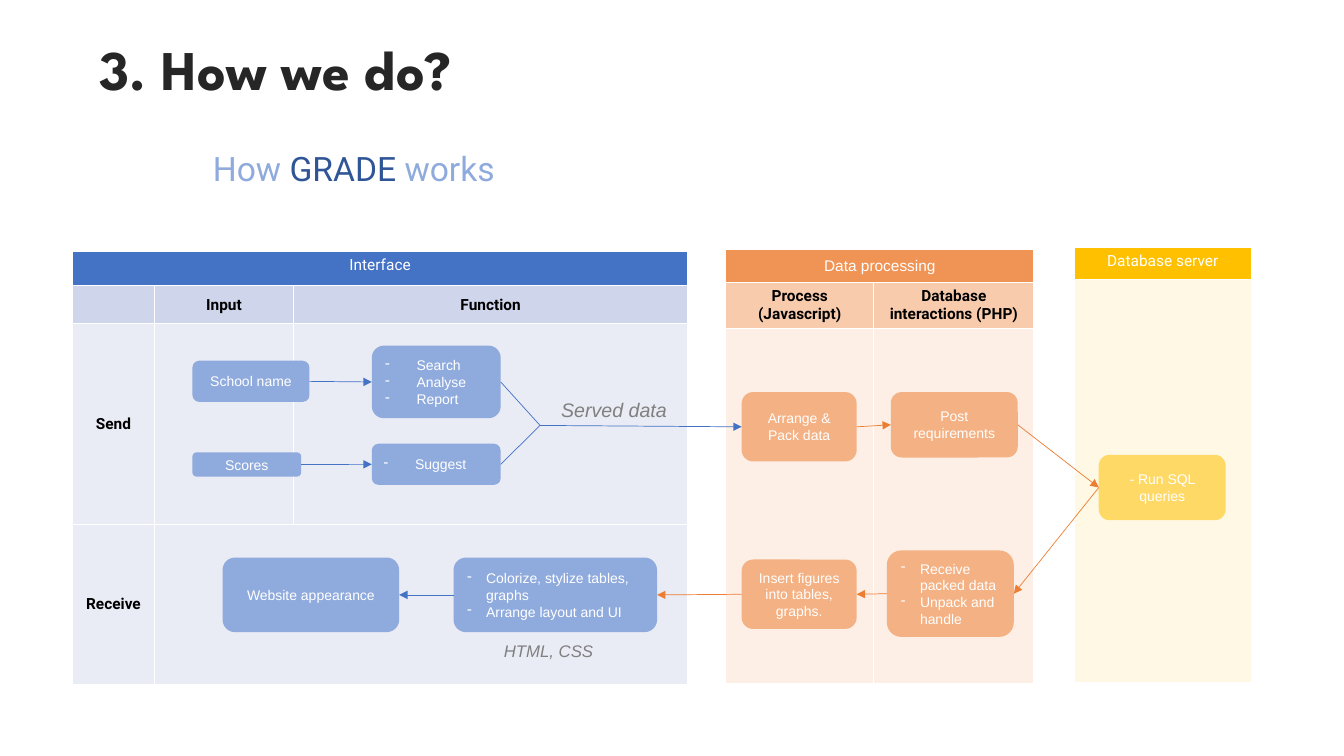
import lxml.etree
import pptx
import pptx.dml.color
import pptx.enum.shapes
import pptx.enum.text
import pptx.oxml.ns
import pptx.util

Cm = pptx.util.Cm
Pt = pptx.util.Pt
ALIGN = pptx.enum.text.PP_ALIGN
ANCHOR = pptx.enum.text.MSO_ANCHOR

COLORS = {
    "white": "FFFFFF", "black": "000000", "ink": "262626", "grey": "808080",
    "blue": "4472C4", "blue_box": "8FAADC", "blue_dark": "2F5597",
    "blue_band": "CFD5EA", "blue_pale": "E9EBF5",
    "orange": "ED7D31", "orange_head": "F09456", "orange_box": "F4B183",
    "orange_band": "F8CBAD", "orange_pale": "FDEFE6",
    "gold": "FFC000", "gold_box": "FFD966", "gold_pale": "FFF8E5",
}
FORMATS = {
    "title": {"name": "League Spartan", "size": Pt(40), "bold": True},
    "subtitle": {"name": "Roboto", "size": Pt(24), "bold": False},
    "header": {"name": "Roboto", "size": Pt(11), "bold": False},
    "header_plain": {"name": "Arial", "size": Pt(11), "bold": False},
    "label": {"name": "Roboto", "size": Pt(11), "bold": True},
    "box": {"name": "Arial", "size": Pt(10), "bold": False},
    "note": {"name": "Arial", "size": Pt(12), "italic": True},
    "large_note": {"name": "Arial", "size": Pt(14), "italic": True},
}
LEFT_SIDE, RIGHT_SIDE = 1, 3


def add_xml(parent, tag, **attributes):
    return lxml.etree.SubElement(parent, pptx.oxml.ns.qn(tag), **attributes)


def rgb(color):
    return pptx.dml.color.RGBColor.from_string(COLORS[color])


class SlideBuilder:
    def __init__(self, presentation):
        self.slide = presentation.slides.add_slide(presentation.slide_layouts[1])
        self.shapes = self.slide.shapes

    def add_text(self, paragraph, runs, style, align=ALIGN.CENTER):
        paragraph.alignment = align
        paragraph.space_before = Pt(0)
        for text, color in runs:
            run = paragraph.add_run()
            run.text = text
            for attribute, value in FORMATS[style].items():
                setattr(run.font, attribute, value)
            run.font.color.rgb = rgb(color)

    def placeholder(self, index, area, runs, style, wrap):
        shape = self.slide.placeholders[index]
        shape.left, shape.top, shape.width, shape.height = map(Cm, area)
        frame = shape.text_frame
        frame.auto_size = pptx.enum.text.MSO_AUTO_SIZE.NONE
        frame.vertical_anchor = ANCHOR.TOP
        frame.word_wrap = wrap
        paragraph = frame.paragraphs[0]
        self.add_text(paragraph, runs, style, ALIGN.LEFT)
        properties = paragraph._p.get_or_add_pPr()
        properties.set("marL", "0")
        properties.set("indent", "0")
        add_xml(properties, "a:buNone")

    def note(self, area, text, style, align):
        frame = self.shapes.add_textbox(*map(Cm, area)).text_frame
        frame.word_wrap = True
        self.add_text(frame.paragraphs[0], [(text, "grey")], style, align)

    def box(self, area, fill, lines, indent=0):
        shape = self.shapes.add_shape(
            pptx.enum.shapes.MSO_SHAPE.ROUNDED_RECTANGLE, *map(Cm, area))
        shape.shadow.inherit = False
        shape.fill.solid()
        shape.fill.fore_color.rgb = rgb(fill)
        shape.line.fill.background()
        frame = shape.text_frame
        frame.word_wrap = True
        frame.vertical_anchor = ANCHOR.MIDDLE
        for number, line in enumerate(lines):
            paragraph = frame.add_paragraph() if number else frame.paragraphs[0]
            align = ALIGN.LEFT if indent else ALIGN.CENTER
            self.add_text(paragraph, [(line, "white")], "box", align)
            if indent:
                properties = paragraph._p.get_or_add_pPr()
                properties.set("marL", str(Cm(indent)))
                properties.set("indent", str(-Cm(indent)))
                add_xml(properties, "a:buFontTx")
                add_xml(properties, "a:buChar", char="-")
        return shape

    def link(self, color, start=None, end=None, sides=(RIGHT_SIDE, LEFT_SIDE),
             junction=(0, 0), arrow=True):
        point = tuple(map(Cm, junction))
        connector = self.shapes.add_connector(
            pptx.enum.shapes.MSO_CONNECTOR.STRAIGHT, *point, *point)
        if start:
            connector.begin_connect(start, sides[0])
        if end:
            connector.end_connect(end, sides[1])
        connector.line.width = Pt(0.5)
        connector.line.color.rgb = rgb(color)
        if arrow:
            add_xml(connector.line._get_or_add_ln(), "a:tailEnd", type="triangle")
        add_xml(connector._element.spPr, "a:effectLst")

    def borders(self, cell, hidden):
        properties = cell._tc.get_or_add_tcPr()
        for side in "LRTB":
            line = add_xml(properties, "a:ln" + side, w=str(Pt(1)))
            if side == hidden:
                add_xml(line, "a:noFill")
            else:
                fill = add_xml(line, "a:solidFill")
                add_xml(fill, "a:srgbClr", val=COLORS["white"])

    def table(self, position, widths, heights, texts, fills, merges=(),
              header="header", header_anchor=ANCHOR.TOP, hidden_edges=None):
        area = (*position, sum(widths), sum(heights))
        table = self.shapes.add_table(
            len(heights), len(widths), *map(Cm, area)).table
        table.first_row = table.horz_banding = False
        for column, width in zip(table.columns, widths):
            column.width = Cm(width)
        for row, height in zip(table.rows, heights):
            row.height = Cm(height)
        for first, last in merges:
            table.cell(*first).merge(table.cell(*last))
        for row, fill in enumerate(fills):
            for column in range(len(widths)):
                cell = table.cell(row, column)
                self.borders(cell, (hidden_edges or {}).get(row))
                cell.fill.solid()
                cell.fill.fore_color.rgb = rgb(fill)
                cell.vertical_anchor = ANCHOR.MIDDLE if row else header_anchor
                paragraph = cell.text_frame.paragraphs[0]
                text = texts.get((row, column))
                if text:
                    color, style = ("black", "label") if row else ("white", header)
                    self.add_text(paragraph, [(text, color)], style)
                else:
                    add_xml(paragraph._p, "a:endParaRPr", sz="1100")


presentation = pptx.Presentation()
presentation.slide_width, presentation.slide_height = Cm(33.87), Cm(19.05)
builder = SlideBuilder(presentation)

builder.placeholder(0, (2.26, 0.74, 9.53, 1.96), [("3. How we do?", "ink")],
                    "title", False)
builder.placeholder(1, (5.11, 3.61, 8.33, 1.27),
                    [("How", "blue_box"), (" GRADE ", "blue_dark"),
                     ("works", "blue_box")], "subtitle", True)

builder.table((1.83, 6.34), (2.06, 3.51, 9.93), (0.86, 0.96, 5.05, 4.04),
              {(0, 0): "Interface", (1, 1): "Input", (1, 2): "Function",
               (2, 0): "Send", (3, 0): "Receive"},
              ("blue", "blue_band", "blue_pale", "blue_pale"),
              merges=[((0, 0), (0, 2)), ((3, 1), (3, 2))])
builder.table((18.29, 6.29), (3.73, 4.04), (0.83, 1.16, 4.8, 4.14),
              {(0, 0): "Data processing", (1, 0): "Process (Javascript)",
               (1, 1): "Database interactions (PHP)"},
              ("orange_head", "orange_band", "orange_pale", "orange_pale"),
              merges=[((0, 0), (0, 1))], header="header_plain",
              header_anchor=ANCHOR.MIDDLE, hidden_edges={2: "B", 3: "T"})
builder.table((27.08, 6.24), (4.45,), (0.8, 10.15),
              {(0, 0): "Database server"}, ("gold", "gold_pale"))

school = builder.box((4.85, 9.09, 2.95, 1.04), "blue_box", ["School name"])
scores = builder.box((4.85, 11.4, 2.74, 0.61), "blue_box", ["Scores"])
search = builder.box((9.37, 8.71, 3.25, 1.83), "blue_box",
                     ["Search", "Analyse", "Report"], 0.79)
suggest = builder.box((9.37, 11.18, 3.25, 1.04), "blue_box", ["Suggest"], 0.79)
arrange = builder.box((18.69, 9.88, 2.9, 1.75), "orange_box", ["Arrange & Pack data"])
post = builder.box((22.45, 9.88, 3.2, 1.65), "orange_box", ["Post requirements"])
queries = builder.box((27.69, 11.46, 3.2, 1.65), "gold_box", ["- Run SQL queries"])
receive = builder.box((22.35, 13.87, 3.2, 2.18), "orange_box",
                      ["Receive packed data", "Unpack and handle"], 0.48)
insert = builder.box((18.69, 14.1, 2.9, 1.75), "orange_box",
                     ["Insert figures into tables, graphs."])
stylize = builder.box((11.43, 14.05, 5.13, 1.88), "blue_box",
                      ["Colorize, stylize tables, graphs",
                       "Arrange layout and UI"], 0.48)
website = builder.box((5.61, 14.05, 4.45, 1.88), "blue_box", ["Website appearance"])

junction = (13.61, 10.72)
for color, start, end in (("blue", school, search), ("blue", scores, suggest),
                          ("orange", arrange, post), ("orange", post, queries)):
    builder.link(color, start, end)
builder.link("orange", queries, receive, (LEFT_SIDE, RIGHT_SIDE))
for color, start, end in (("orange", receive, insert), ("orange", insert, stylize),
                          ("blue", stylize, website)):
    builder.link(color, start, end, (LEFT_SIDE, RIGHT_SIDE))
for function in (search, suggest):
    builder.link("blue", start=function, junction=junction, arrow=False)
builder.link("blue", end=arrange, junction=junction)

builder.note((12.07, 16.03, 3.51, 0.77), "HTML, CSS", "note", ALIGN.CENTER)
builder.note((13.89, 9.91, 3.45, 0.86), "Served data", "large_note", ALIGN.LEFT)

presentation.save("out.pptx")
